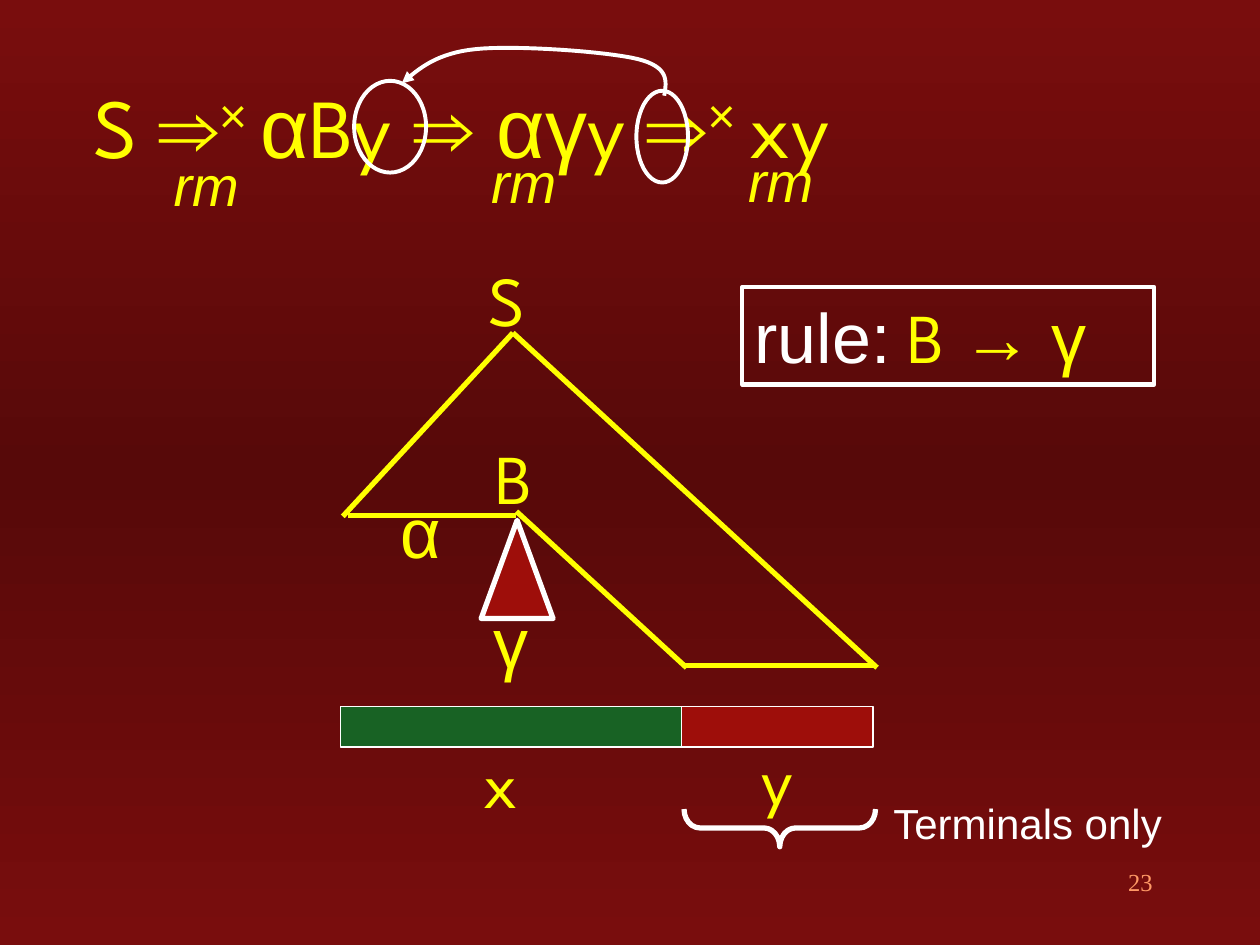
from copy import deepcopy

from pptx import Presentation
from pptx.dml.color import RGBColor
from pptx.enum.shapes import MSO_CONNECTOR, MSO_SHAPE
from pptx.enum.text import MSO_ANCHOR, MSO_AUTO_SIZE, PP_ALIGN
from pptx.oxml.ns import qn
from pptx.oxml.xmlchemy import OxmlElement
from pptx.util import Cm, Pt

LEFT, MID, RIGHT = PP_ALIGN.LEFT, PP_ALIGN.CENTER, PP_ALIGN.RIGHT
RECT, OVAL = MSO_SHAPE.RECTANGLE, MSO_SHAPE.OVAL
CONE, BRACE = MSO_SHAPE.ISOSCELES_TRIANGLE, MSO_SHAPE.LEFT_BRACE
YELLOW, WHITE, RED, GREEN = "FFFF00", "FFFFFF", "9E0E0A", "186224"
SANS, SPARTAN, SERIF = "Arial", "League Spartan", "Times New Roman"

# Content: runs are (text, format), lengths are in cm
BACK = [(0, "790D0D"), (0.5, "570909"), (1, "790D0D")]
STAR = ("× ", {"base": 30000})
SPAR = {"font": SPARTAN}
CHAIN = [("S ", SPAR), ("⇒", {}), STAR, ("α", {}), ("By ", SPAR),
         ("⇒ αγ", {}), ("y ", SPAR), ("⇒", {}), STAR, ("xy", SPAR)]
RULE = [("rule:", {"color": WHITE}), (" B ", SPAR), ("→ γ", {})]
STEPS = [(9.65, 2.84), (3.25, 2.9), (14.83, 2.82)]
NAMES = [("S", SPARTAN, 9.6, 5.05, 1.27), ("B", SPARTAN, 9.73, 8.64, 1.42),
         ("α", SANS, 7.82, 9.73, 1.4), ("γ", SANS, 9.7, 11.94, 1.3),
         ("x", SPARTAN, 9.5, 14.77, 1.24), ("y", SPARTAN, 15.11, 14.68, 1.22)]
TREE = [(10.34, 6.71, 17.68, 13.46), (10.34, 6.71, 6.91, 10.41),
        (7.01, 10.39, 10.41, 10.39), (10.41, 10.31, 13.84, 13.46),
        (13.77, 13.41, 17.6, 13.41)]
FORMS = [(CONE, (9.7, 10.49, 1.45, 1.98), RED, 3),
         (RECT, (6.86, 14.25, 6.9, 0.81), GREEN, 0.75),
         (RECT, (13.74, 14.25, 3.86, 0.81), RED, 0.75),
         (OVAL, (12.83, 1.83, 1.04, 1.85), None, 2.25),
         (OVAL, (7.14, 1.63, 1.45, 1.85), None, 2.25)]
ARC = [(13.39, 1.93), (13.44, 1.63), (13.49, 1.35), (12.85, 1.19),
       (12.24, 1.04), (10.39, 0.91), (9.6, 0.99), (8.81, 1.07),
       (8.46, 1.37), (8.1, 1.68)]


def rgb(code):
    return RGBColor.from_string(code)


def box(x, y, w, h):
    return slide.shapes.add_textbox(Cm(x), Cm(y), Cm(w), Cm(h))


def write(shape, runs, size=40, font=SANS, color=YELLOW, align=LEFT,
          italic=False, wrap=True):
    """Fill a shape with one paragraph; a run may override font and color."""
    frame = shape.text_frame
    frame.auto_size = MSO_AUTO_SIZE.NONE
    frame.word_wrap = wrap
    frame.vertical_anchor = MSO_ANCHOR.TOP
    para = frame.paragraphs[0]
    para.alignment = align
    para.space_before = Pt(0)
    for text, form in [(runs, {})] if isinstance(runs, str) else runs:
        run = para.add_run()
        run.text = text
        run.font.size = Pt(size)
        run.font.italic = italic
        run.font.name = form.get("font", font)
        run.font.color.rgb = rgb(form.get("color", color))
        if "base" in form:
            run.font._element.set("baseline", str(form["base"]))
    return para


def draw(kind, place, fill=None, width=3):
    shape = slide.shapes.add_shape(kind, *map(Cm, place))
    return style(shape, fill, width)


def style(shape, fill, width):
    shape.shadow.inherit = False
    if fill:
        shape.fill.solid()
        shape.fill.fore_color.rgb = rgb(fill)
    else:
        shape.fill.background()
    shape.line.color.rgb = rgb(WHITE)
    shape.line.width = Pt(width)
    return shape


def curve(knots, steps=16):
    """Points along a chain of cubic Bezier arcs."""
    pts = [knots[0]]
    for i in range(0, len(knots) - 1, 3):
        for k in range(1, steps + 1):
            t = k / steps
            parts = ((1 - t) ** 3, 3 * t * (1 - t) ** 2,
                     3 * t * t * (1 - t), t ** 3)
            pts.append(tuple(sum(p * q[d] for p, q in zip(parts, knots[i:i + 4]))
                             for d in (0, 1)))
    return [(Cm(x), Cm(y)) for x, y in pts]


prs = Presentation()
prs.slide_width, prs.slide_height = Cm(25.4), Cm(19.05)
slide = prs.slides.add_slide(prs.slide_layouts[1])

# Background
fill = slide.background.fill
fill.gradient()
fill.gradient_angle = 90
stops = slide.element.find(".//" + qn("a:gsLst"))
stops.insert(1, deepcopy(stops[0]))
for stop, (pos, code) in zip(fill.gradient_stops, BACK):
    stop.position = pos
    stop.color.rgb = rgb(code)

# Derivation in the body placeholder
title = slide.shapes.title
title.element.getparent().remove(title.element)
body = slide.placeholders[1]
body.left, body.top, body.width, body.height = map(Cm, (1.63, 1.37, 23.5, 3.23))
props = write(body, CHAIN, size=48)._p.get_or_add_pPr()
props.set("marL", str(Cm(1.3)))
props.set("indent", str(-Cm(1.3)))
props.append(OxmlElement("a:buNone"))
for x, y in STEPS:
    write(box(x, y, 1.83, 1.63), "rm", size=32, italic=True, wrap=False)

# Tree edges
for x1, y1, x2, y2 in TREE:
    edge = slide.shapes.add_connector(MSO_CONNECTOR.STRAIGHT,
                                      Cm(x1), Cm(y1), Cm(x2), Cm(y2))
    edge.line.color.rgb = rgb(YELLOW)
    edge.line.width = Pt(3)
    edge._element.spPr.append(OxmlElement("a:effectLst"))

# Subtree, input bar and rings
for form in FORMS:
    draw(*form)
for text, font, x, y, w in NAMES:
    write(box(x, y, w, 1.96), text, font=font, wrap=False)

# Curved arrow between the rings
start, *rest = curve(ARC)
pen = slide.shapes.build_freeform(*start)
pen.add_line_segments(rest, close=False)
arrow = style(pen.convert_to_shape(), None, 2.25)
tail = OxmlElement("a:tailEnd")
tail.set("type", "triangle")
arrow.line._get_or_add_ln().append(tail)

# Rule, brace with its label, and page number
write(draw(RECT, (14.96, 5.79, 8.31, 1.96), width=2.5), RULE)
brace = draw(BRACE, (15.34, 14.76, 0.76, 3.86))
brace.rotation = 270
brace.adjustments[0] = 0.42
write(box(17.63, 15.95, 6.17, 1.27), "Terminals only", size=24,
      color=WHITE, align=MID)
write(box(18.21, 17.35, 5.28, 1.27), "23", size=14, font=SERIF,
      color="FF9966", align=RIGHT)

prs.save("out.pptx")
